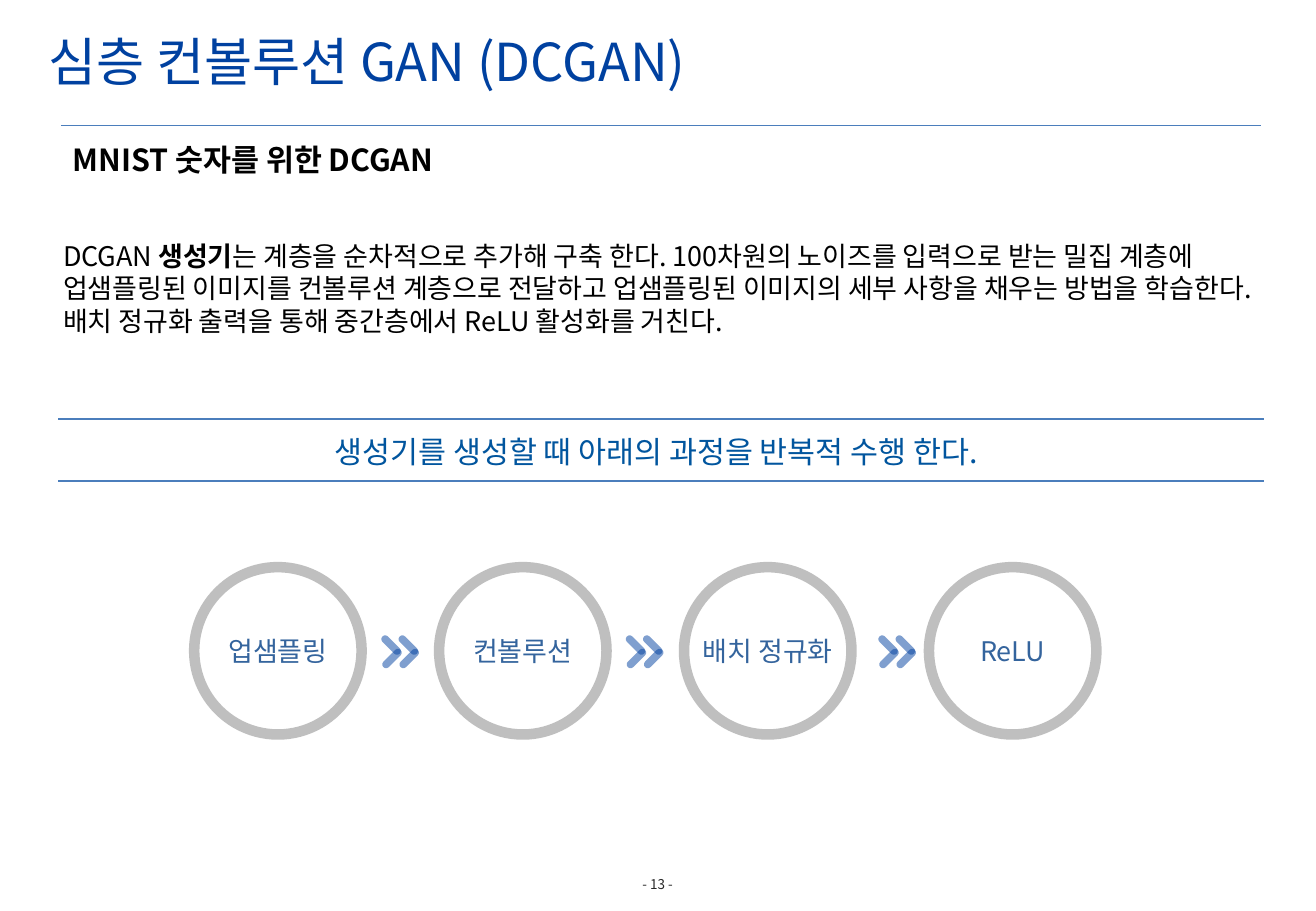
from lxml import etree
from pptx import Presentation
from pptx import util as u
from pptx.dml.color import RGBColor
from pptx.enum import shapes, text
from pptx.oxml.ns import qn


def color(hex_string):
    return RGBColor.from_string(hex_string)


class SlideBuilder:
    FONT = "Noto Sans CJK KR"
    BLUE, LABEL, HEADING = "0041A0", "34649D", "01559E"
    RULE, RING, BLACK, WHITE = "4B7EBC", "BFBFBF", "000000", "FFFFFF"

    def __init__(self, slide):
        self.slide = slide

    def add_text(self, shape, runs, size, hex_color, align=text.PP_ALIGN.LEFT,
                 anchor=text.MSO_ANCHOR.MIDDLE, wrap=True, inset=0.0):
        """Fill a shape with one paragraph of (text, bold) runs."""
        frame = shape.text_frame
        frame.auto_size = text.MSO_AUTO_SIZE.NONE
        frame.word_wrap = wrap
        frame.vertical_anchor = anchor
        frame.margin_left = frame.margin_right = u.Cm(inset)
        frame.margin_top = frame.margin_bottom = u.Cm(inset / 2)
        paragraph = frame.paragraphs[0]
        paragraph.alignment = align
        for content, bold in runs:
            run = paragraph.add_run()
            run.text = content
            run.font.size = u.Pt(size)
            run.font.bold = bold
            run.font.color.rgb = color(hex_color)
            run.font.name = self.FONT
            east_asian = etree.SubElement(run.font._element, qn("a:ea"))
            east_asian.set("typeface", self.FONT)
        return paragraph

    def title(self, content, left, top, width, height):
        shape = self.slide.shapes.title
        shape.left, shape.top = u.Cm(left), u.Cm(top)
        shape.width, shape.height = u.Cm(width), u.Cm(height)
        paragraph = self.add_text(shape, [(content, False)], 31, self.BLUE, inset=0.25)
        paragraph.line_spacing = u.Pt(34)

    def text_box(self, runs, left, top, width, height, size, hex_color, **layout):
        box = self.slide.shapes.add_textbox(
            u.Cm(left), u.Cm(top), u.Cm(width), u.Cm(height))
        self.add_text(box, runs, size, hex_color, **layout)

    def rule(self, left, right, top, weight=0.75):
        line = self.slide.shapes.add_connector(
            shapes.MSO_CONNECTOR.STRAIGHT, u.Cm(left), u.Cm(top), u.Cm(right), u.Cm(top))
        line.line.color.rgb = color(self.RULE)
        line.line.width = u.Pt(weight)
        etree.SubElement(line._element.spPr, qn("a:effectLst"))

    def step(self, label, left, top, diameter):
        ring = self.slide.shapes.add_shape(
            shapes.MSO_SHAPE.OVAL, u.Cm(left), u.Cm(top), u.Cm(diameter), u.Cm(diameter))
        ring.shadow.inherit = False
        ring.fill.solid()
        ring.fill.fore_color.rgb = color(self.WHITE)
        ring.line.color.rgb = color(self.RING)
        ring.line.width = u.Pt(6.25)
        self.add_text(ring, [(label, False)], 16, self.LABEL,
                      align=text.PP_ALIGN.CENTER, wrap=False)

    def double_chevron(self, left, top):
        """Two chevrons, each made of two tilted translucent bars."""
        group = self.slide.shapes.add_group_shape()
        for shift in (0, 0.36):
            for dx, dy, angle in ((0, 0, 45), (0.02, 0.28, 315)):
                bar = group.shapes.add_shape(
                    shapes.MSO_SHAPE.ROUNDED_RECTANGLE, u.Cm(left + shift + dx),
                    u.Cm(top + dy), u.Cm(0.51), u.Cm(0.16))
                bar.adjustments[0] = 0.5
                bar.rotation = angle
                bar.shadow.inherit = False
                bar.line.fill.background()
                bar.fill.solid()
                bar.fill.fore_color.rgb = color(self.BLUE)
                tint = bar._element.spPr.find(qn("a:solidFill"))[0]
                etree.SubElement(tint, qn("a:alpha")).set("val", "50000")


def main():
    presentation = Presentation()
    presentation.slide_width, presentation.slide_height = u.Cm(27.51), u.Cm(19.05)
    slide = presentation.slides.add_slide(presentation.slide_layouts[5])
    builder = SlideBuilder(slide)
    center = text.PP_ALIGN.CENTER

    # Title and subtitle
    builder.title("심층 컨볼루션 GAN (DCGAN)", 0.76, 0.43, 20.7, 1.8)
    builder.rule(1.27, 26.37, 2.62)
    builder.text_box([("MNIST 숫자를 위한 DCGAN", True)], 1.27, 2.82, 8.89, 1.02,
                     18, builder.BLACK, anchor=text.MSO_ANCHOR.TOP,
                     wrap=False, inset=0.25)

    # Explanation
    builder.text_box(
        [("DCGAN ", False), ("생성기", True),
         ("는 계층을 순차적으로 추가해 구축 한다. 100차원의 노이즈를 입력으로 받는 "
          "밀집 계층에 업샘플링된 이미지를 컨볼루션 계층으로 전달하고 업샘플링된 "
          "이미지의 세부 사항을 채우는 방법을 학습한다. 배치 정규화 출력을 통해 "
          "중간층에서 ReLU 활성화를 거친다.", False)],
        1.32, 4.42, 25.25, 3.2, 16, builder.BLACK)

    # Heading between two rules
    builder.rule(1.22, 26.42, 8.76)
    builder.rule(1.22, 26.42, 10.06, weight=1)
    builder.text_box([("생성기를 생성할 때 아래의 과정을 반복적 수행 한다.", False)],
                     5.46, 8.97, 16.51, 0.94, 18, builder.HEADING, align=center)

    # Repeated process
    for index, label in enumerate(("업샘플링", "컨볼루션", "배치 정규화", "ReLU")):
        builder.step(label, 4.06 + 5.12 * index, 11.86, 3.5)
    for left in (7.92, 13.03, 18.31):
        builder.double_chevron(left, 13.41)

    # Page number
    builder.text_box([("- 13 -", False)], 12.95, 18.29, 1.6, 0.41,
                     8, "262626", align=center, wrap=False)

    presentation.save("out.pptx")


if __name__ == "__main__":
    main()
